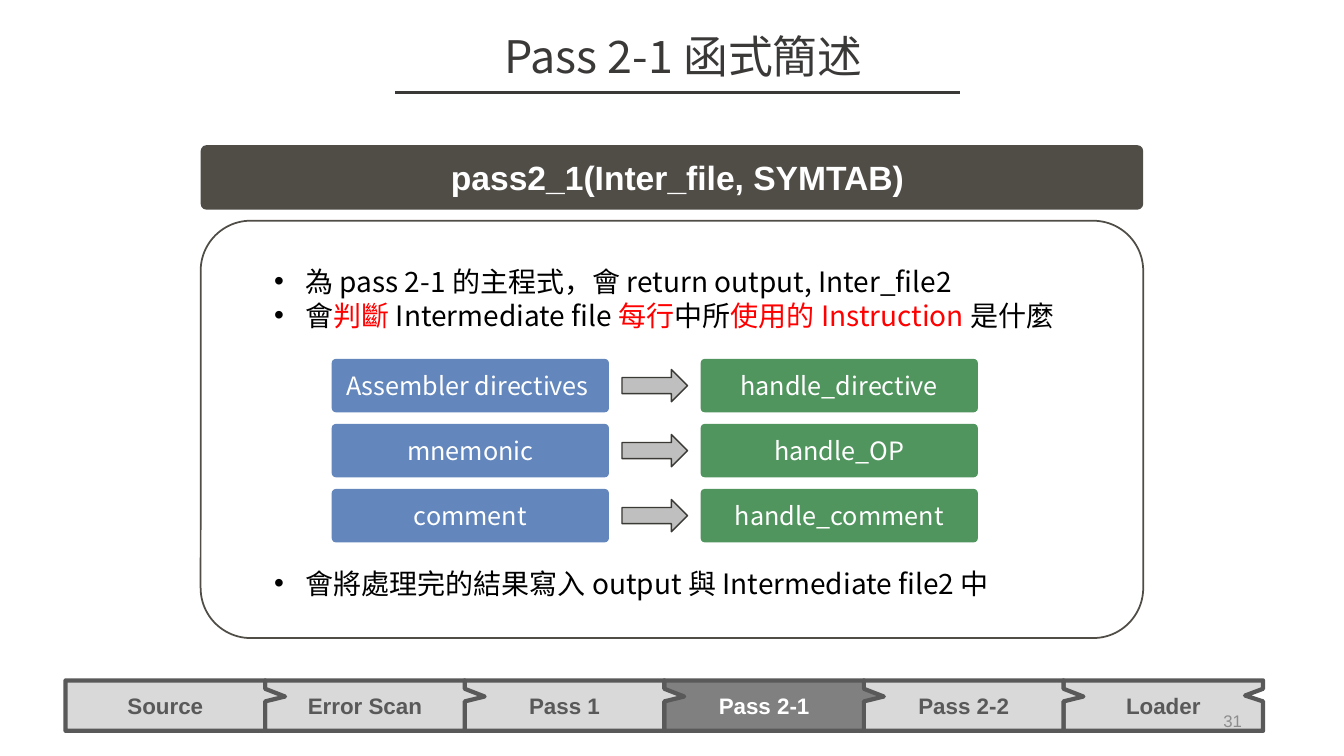
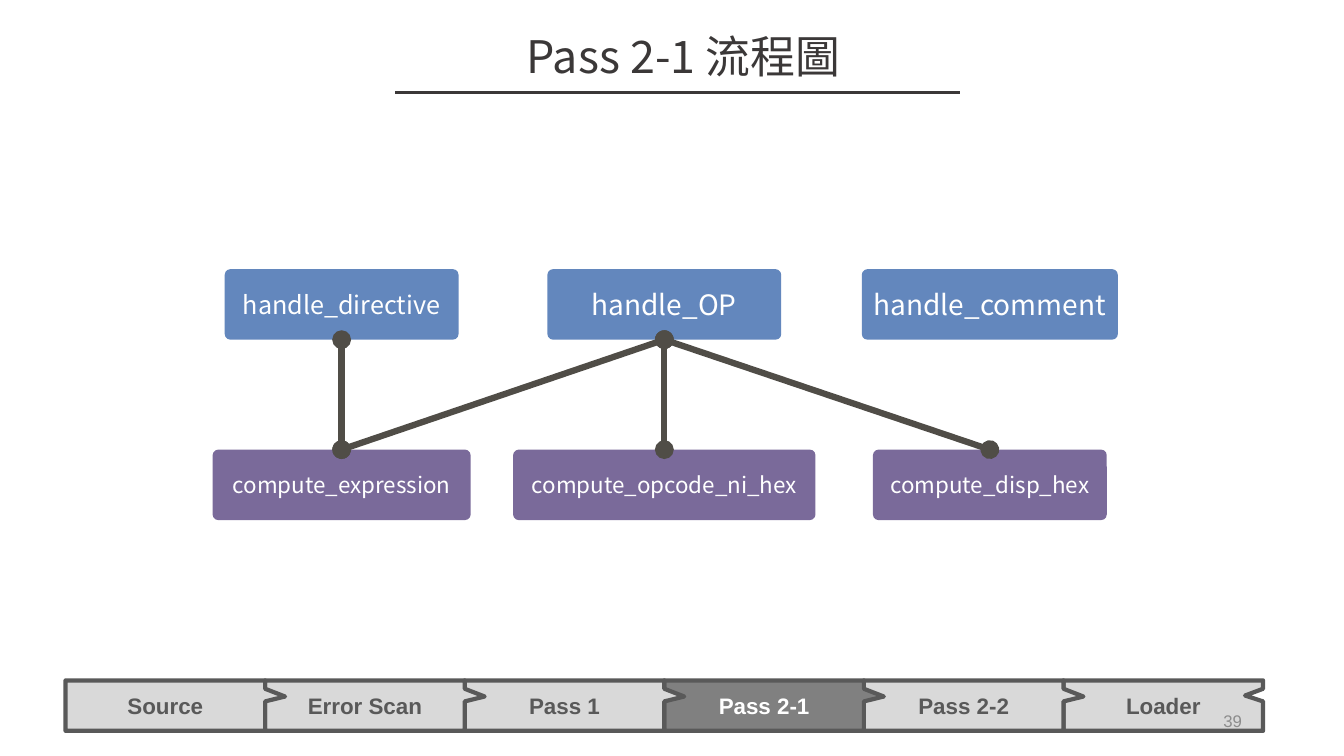
"""Build two slides on the Pass 2-1 stage of an assembler."""

import dataclasses

import lxml.etree
import pptx
import pptx.dml.color
import pptx.enum.shapes
import pptx.enum.text
import pptx.oxml.ns
import pptx.util


@dataclasses.dataclass(frozen=True)
class Theme:
    latin: str = "Arial"
    cjk: str = "Noto Sans CJK SC"
    title: str = "3B3838"
    dark: str = "504D47"
    blue: str = "6387BD"
    green: str = "51955E"
    purple: str = "7A6A9A"
    arrow: str = "BFBFBF"
    arrow_edge: str = "3B3935"
    stage: str = "D9D9D9"
    stage_now: str = "808080"
    stage_edge: str = "595959"
    page: str = "8C8C8C"
    black: str = "000000"
    red: str = "FF0000"
    white: str = "FFFFFF"
    title_size: int = 32
    header_size: int = 24
    body_size: int = 20
    box_size: int = 18
    small_size: int = 16
    page_size: int = 12


theme = Theme()
rgb = pptx.dml.color.RGBColor.from_string
qn = pptx.oxml.ns.qn
Pt = pptx.util.Pt
SHAPE = pptx.enum.shapes.MSO_SHAPE
STRAIGHT = pptx.enum.shapes.MSO_CONNECTOR.STRAIGHT
ALIGN = pptx.enum.text.PP_ALIGN
ANCHOR = pptx.enum.text.MSO_ANCHOR
NO_FIT = pptx.enum.text.MSO_AUTO_SIZE.NONE

deck = pptx.Presentation()
deck.slide_width = pptx.util.Inches(13.33)
deck.slide_height = pptx.util.Inches(7.5)
column = deck.slide_width / 100
row = deck.slide_height / 100


def write(paragraph, text, size, colour, font=theme.cjk, bold=False):
    run = paragraph.add_run()
    run.text = text
    formats = {"size": Pt(size), "bold": bold, "name": font}
    for name, value in formats.items():
        setattr(run.font, name, value)
    run.font.color.rgb = rgb(colour)
    lxml.etree.SubElement(run.font._element, qn("a:ea"), typeface=theme.cjk)


def block(slide, kind, left, top, width, height, fill=None, edge=None, weight=1, adjust=()):
    shape = slide.shapes.add_shape(
        kind, int(left * column), int(top * row), int(width * column), int(height * row)
    )
    shape.shadow.inherit = False
    if fill:
        shape.fill.solid()
        shape.fill.fore_color.rgb = rgb(fill)
    else:
        shape.fill.background()
    if edge:
        shape.line.color.rgb = rgb(edge)
        shape.line.width = Pt(weight)
    else:
        shape.line.fill.background()
    for index, value in enumerate(adjust):
        shape.adjustments[index] = value
    shape.text_frame.margin_left = shape.text_frame.margin_right = Pt(4)
    return shape


stages = ["Source", "Error Scan", "Pass 1", "Pass 2-1", "Pass 2-2", "Loader"]
current_stage = "Pass 2-1"
stage_width = 14.85
pages = [("Pass 2-1 函式簡述", "31", 1), ("Pass 2-1 流程圖", "39", 5)]
slides = []

for heading, number, layout in pages:
    slide = deck.slides.add_slide(deck.slide_layouts[layout])
    slides.append(slide)

    title = slide.shapes.title
    place = {"left": 28.13 * column, "top": 3.07 * row, "width": 45.45 * column, "height": 8.53 * row}
    for name, value in place.items():
        setattr(title, name, int(value))
    title_formats = {"auto_size": NO_FIT, "vertical_anchor": ANCHOR.MIDDLE, "margin_top": 0, "margin_bottom": 0}
    for name, value in title_formats.items():
        setattr(title.text_frame, name, value)
    title.text_frame.paragraphs[0].alignment = ALIGN.CENTER
    write(title.text_frame.paragraphs[0], heading, theme.title_size, theme.title)

    rule_height = int(12.27 * row)
    rule = slide.shapes.add_connector(
        STRAIGHT, int(29.4 * column), rule_height, int(71.4 * column), rule_height
    )
    rule.line.color.rgb = rgb(theme.title)
    rule.line.width = Pt(2)

    for index, stage in reversed(list(enumerate(stages))):
        now = stage == current_stage
        step = block(
            slide, SHAPE.RECTANGULAR_CALLOUT, 4.88 + index * stage_width, 90, stage_width, 6.67,
            theme.stage_now if now else theme.stage, theme.stage_edge, 3,
            (0.41, -0.2) if stage == stages[-1] else (0.6, -0.18),
        )
        write(
            step.text_frame.paragraphs[0], stage, theme.small_size,
            theme.white if now else theme.stage_edge, theme.latin, True,
        )

    page = slide.shapes.add_textbox(
        int(70.65 * column), int(92.67 * row), int(22.5 * column), int(5.33 * row)
    )
    page.text_frame.word_wrap = True
    page.text_frame.vertical_anchor = ANCHOR.MIDDLE
    page.text_frame.paragraphs[0].alignment = ALIGN.RIGHT
    write(page.text_frame.paragraphs[0], number, theme.page_size, theme.page, theme.latin)

summary, flow = slides

block(summary, SHAPE.ROUNDED_RECTANGLE, 14.93, 29.2, 70.13, 55.2, None, theme.dark, 1.25, (0.12,))
signature = block(
    summary, SHAPE.ROUNDED_RECTANGLE, 14.93, 19.2, 70.13, 8.53, theme.dark, adjust=(0.09,)
)
signature.text_frame.margin_left = Pt(12)
write(
    signature.text_frame.paragraphs[0], "pass2_1(Inter_file, SYMTAB)",
    theme.header_size, theme.white, theme.latin, True,
)

points = [
    (0, [("為 pass 2-1 的主程式，會 return output, Inter_file2", theme.black)]),
    (0, [
        ("會", theme.black),
        ("判斷 ", theme.red),
        ("Intermediate file ", theme.black),
        ("每行", theme.red),
        ("中所", theme.black),
        ("使用的 Instruction ", theme.red),
        ("是什麼", theme.black),
    ]),
    (167, [("會將處理完的結果寫入 output 與 Intermediate file2 中", theme.black)]),
]
description = summary.placeholders[1]
place = {"left": 20.4 * column, "top": 34.93 * row, "width": 63 * column, "height": 47 * row}
for name, value in place.items():
    setattr(description, name, int(value))
body_formats = {
    "auto_size": NO_FIT, "vertical_anchor": ANCHOR.TOP,
    "margin_left": 0, "margin_right": 0, "margin_top": 0, "margin_bottom": 0,
}
for name, value in body_formats.items():
    setattr(description.text_frame, name, value)
for index, (gap, pieces) in enumerate(points):
    frame = description.text_frame
    point = frame.add_paragraph() if index else frame.paragraphs[0]
    indent = point._p.get_or_add_pPr()
    indent.set("marL", str(pptx.util.Inches(0.31)))
    indent.set("indent", str(-pptx.util.Inches(0.31)))
    lxml.etree.SubElement(indent, qn("a:buFont"), typeface=theme.latin)
    lxml.etree.SubElement(indent, qn("a:buChar"), char="•")
    point_formats = {"line_spacing": Pt(24.3), "space_before": Pt(gap), "space_after": Pt(0)}
    for name, value in point_formats.items():
        setattr(point, name, value)
    for text, colour in pieces:
        write(point, text, theme.body_size, colour)

dispatch = [
    ("Assembler directives ", "handle_directive"),
    ("mnemonic", "handle_OP"),
    ("comment", "handle_comment"),
]
for index, (kind_of_line, handler) in enumerate(dispatch):
    top = 47.47 + index * 8.6
    for left, text, colour in [(24.68, kind_of_line, theme.blue), (52.13, handler, theme.green)]:
        box = block(summary, SHAPE.ROUNDED_RECTANGLE, left, top, 20.63, 7.07, colour, adjust=(0.08,))
        write(box.text_frame.paragraphs[0], text, theme.box_size, theme.white)
    block(summary, SHAPE.RIGHT_ARROW, 46.28, top + 1.4, 4.88, 4.27, theme.arrow, theme.arrow_edge)

centres = [25.42, 49.43, 73.65]
levels = [
    (35.6, theme.blue, [
        ("handle_directive", 17.4, theme.box_size),
        ("handle_OP", 17.4, theme.body_size),
        ("handle_comment", 19.05, theme.body_size),
    ]),
    (59.47, theme.purple, [
        ("compute_expression", 19.2, theme.small_size),
        ("compute_opcode_ni_hex", 22.5, theme.small_size),
        ("compute_disp_hex", 17.4, theme.small_size),
    ]),
]
functions = {}
for top, colour, members in levels:
    for centre, (text, width, size) in zip(centres, members):
        box = block(
            flow, SHAPE.ROUNDED_RECTANGLE, centre - width / 2, top, width, 9.33, colour, adjust=(0.08,)
        )
        write(box.text_frame.paragraphs[0], text, size, theme.white)
        functions[text] = box

calls = [
    ("handle_directive", "compute_expression"),
    ("handle_OP", "compute_expression"),
    ("handle_OP", "compute_opcode_ni_hex"),
    ("handle_OP", "compute_disp_hex"),
]
bottom_site, top_site = 2, 0
for caller, callee in calls:
    call = flow.shapes.add_connector(STRAIGHT, 0, 0, 0, 0)
    call.begin_connect(functions[caller], bottom_site)
    call.end_connect(functions[callee], top_site)
    call.line.color.rgb = rgb(theme.dark)
    call.line.width = Pt(4.5)
    stroke = call._element.spPr.find(qn("a:ln"))
    for end in ("a:headEnd", "a:tailEnd"):
        lxml.etree.SubElement(stroke, qn(end), type="oval")

for slide in slides:
    for shape in slide.shapes:
        if shape.shape_type == pptx.enum.shapes.MSO_SHAPE_TYPE.LINE:
            lxml.etree.SubElement(shape._element.spPr, qn("a:effectLst"))

deck.save("out.pptx")
